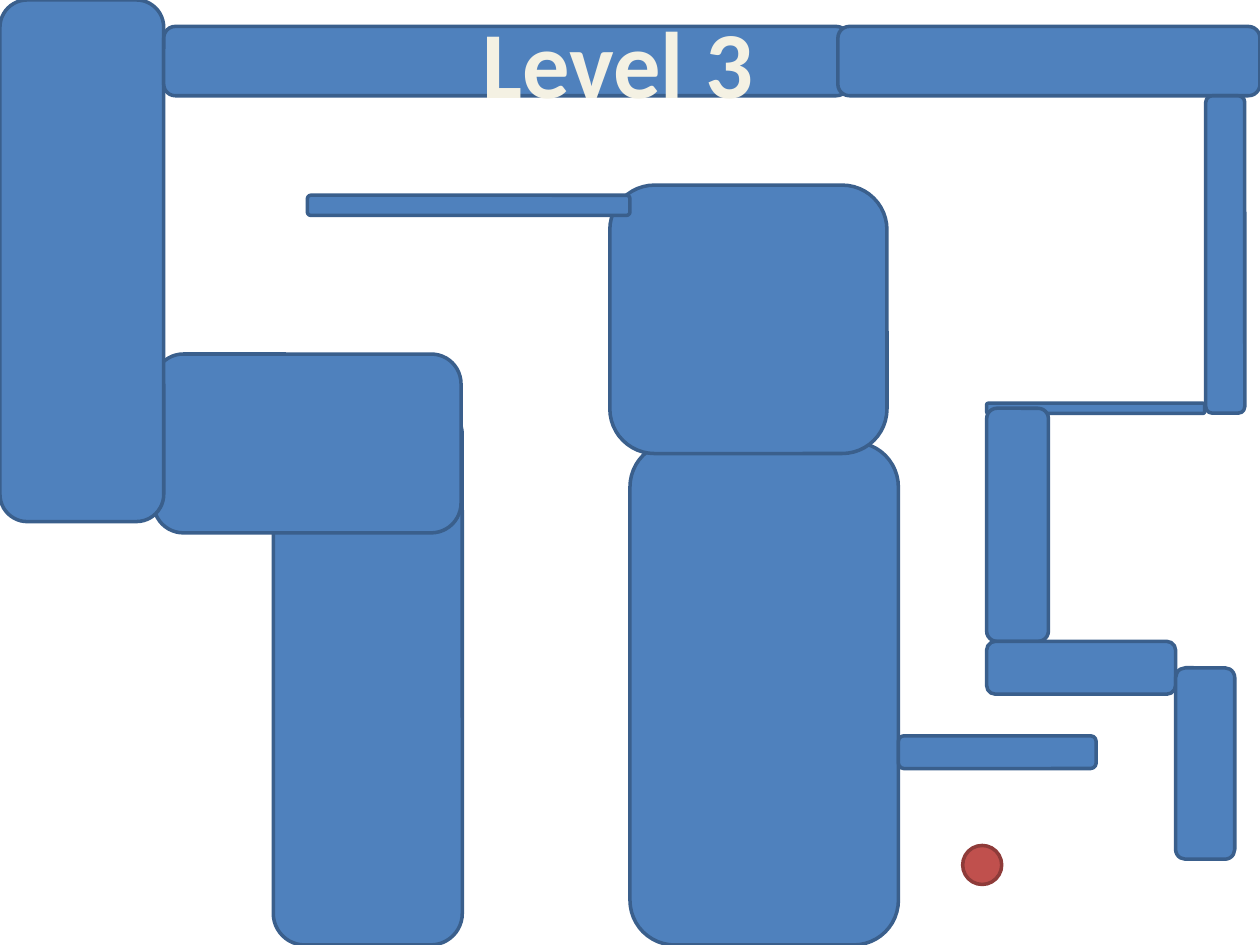
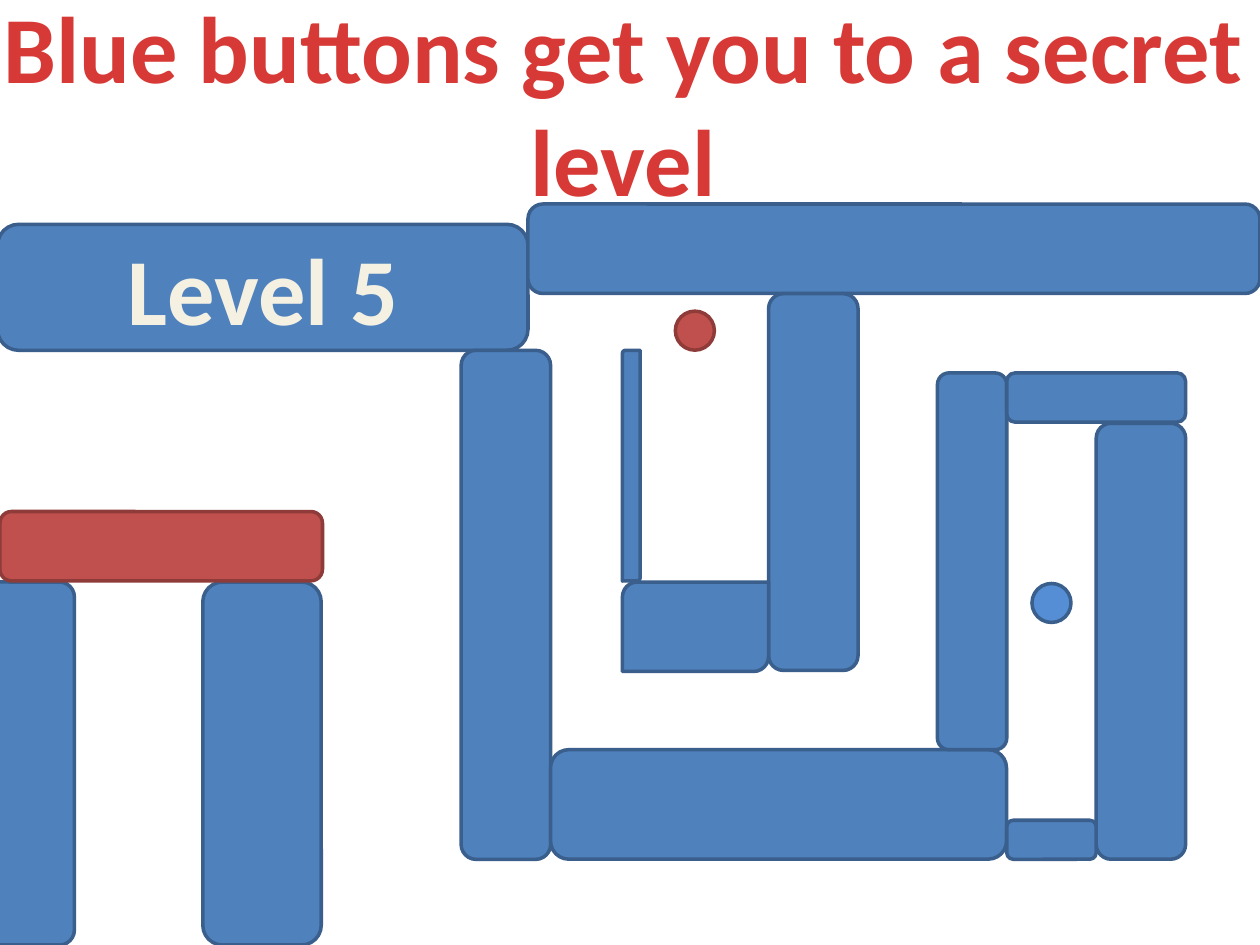
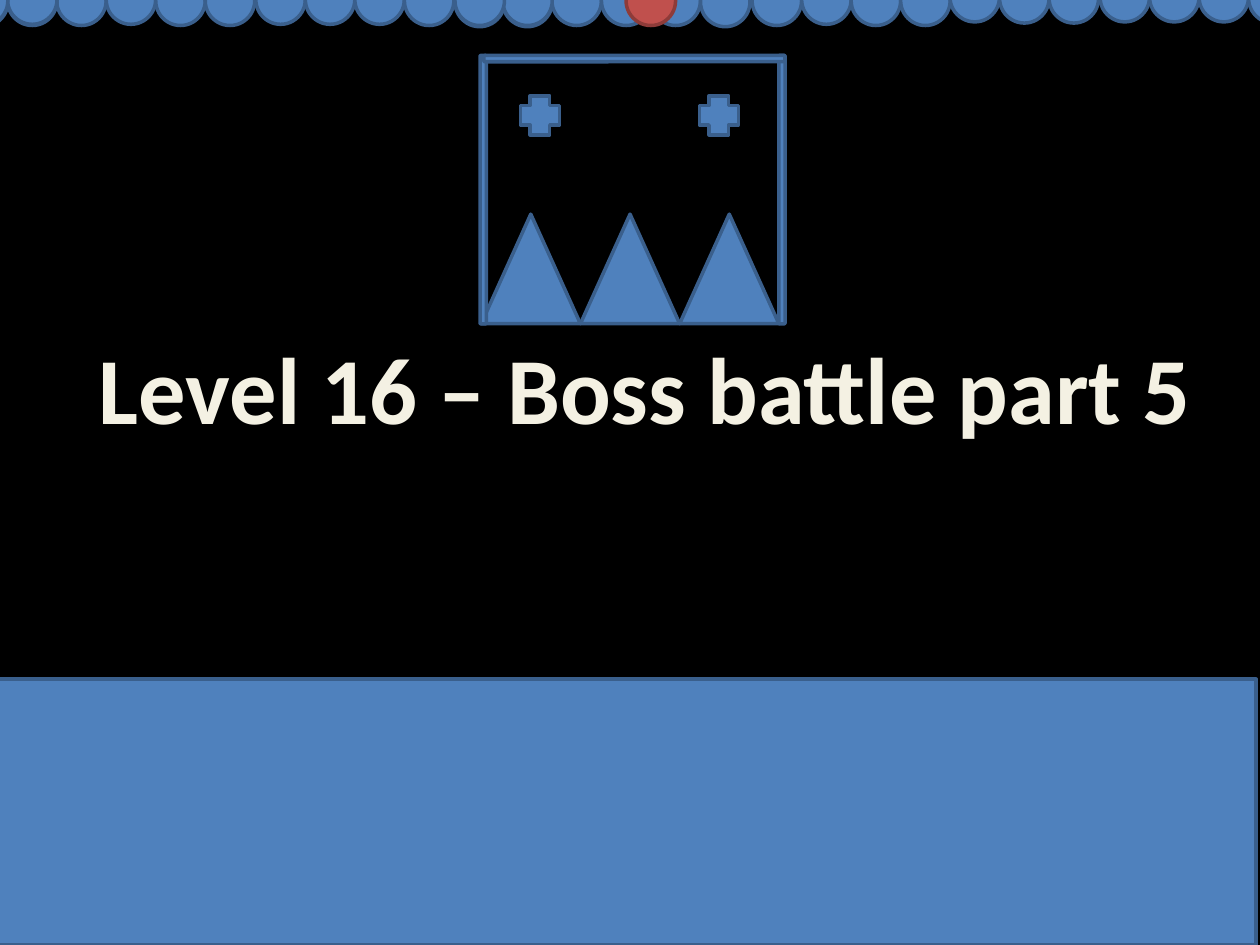
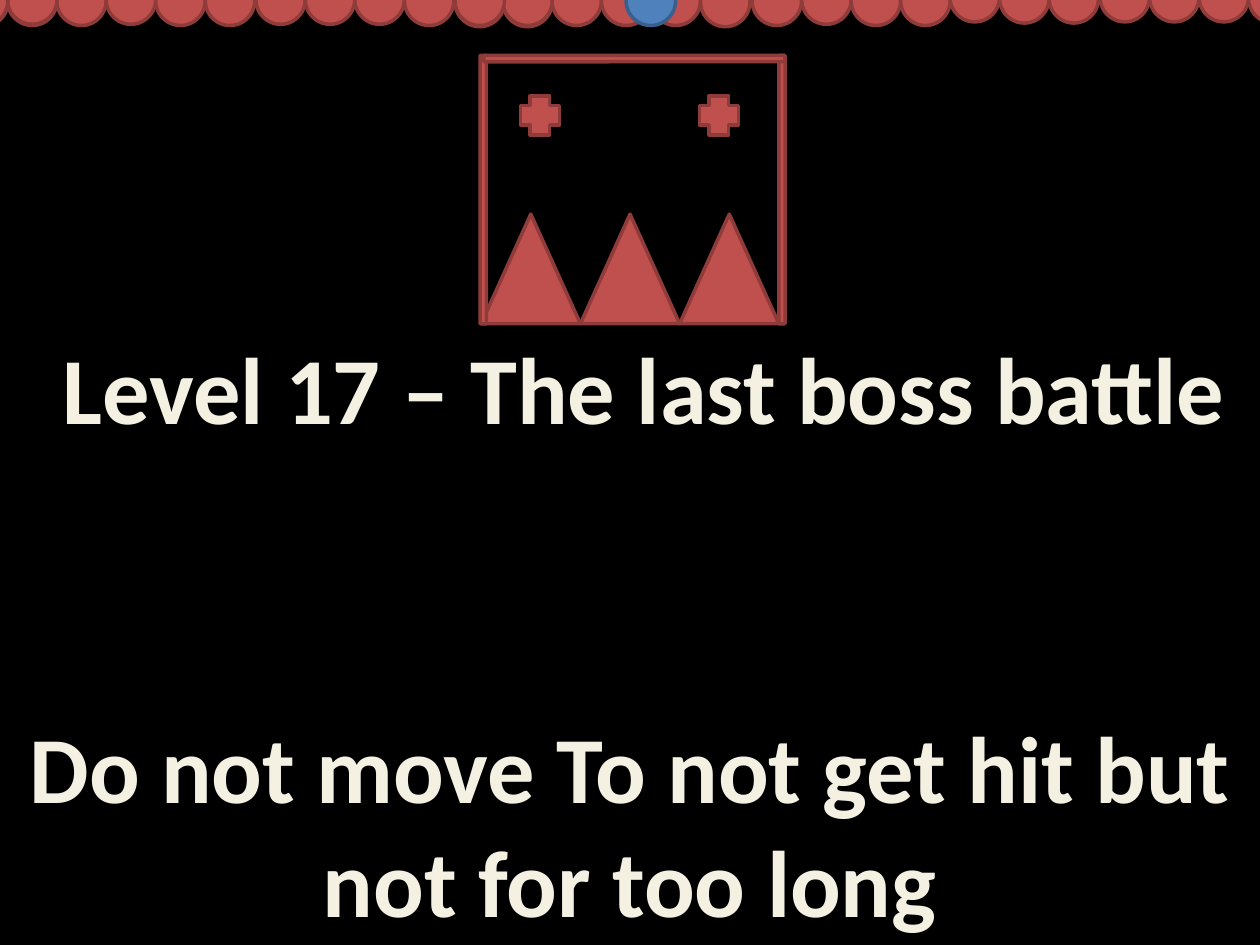
from dataclasses import dataclass

from lxml.etree import SubElement
from pptx import Presentation
from pptx.dml.color import RGBColor
from pptx.enum.shapes import MSO_SHAPE
from pptx.enum.text import MSO_AUTO_SIZE, PP_ALIGN
from pptx.oxml.ns import qn
from pptx.util import Pt


@dataclass(frozen=True)
class Theme:
    blue: tuple = ("4F81BD", "3A5F8C")
    red: tuple = ("C0504D", "8E3B39")
    bright: tuple = ("558ED5", "3A5F8C")
    cream: str = "F4F1E3"
    navy: str = "054697"
    warning: str = "D73A36"
    white: str = "FFFFFF"
    black: str = "000000"
    font: str = "Calibri"
    size: float = 54
    line: float = 2
    ball: float = 22.3
    bead: float = 28.3


T = Theme()

LEVEL3_WALLS = [
    (360, 252.7, 153.4, 287.3),
    (156.2, 230.4, 108, 309.6),
    (87.8, 202.3, 175.7, 102.2),
    (0, 0, 93.6, 298.1),
    (93.6, 15.1, 391, 39.6),
    (348.5, 105.8, 158.4, 153.4),
    (175.7, 111.6, 184.3, 11.5),
    (478.8, 15.1, 241.2, 39.6),
    (689, 54.7, 22.3, 181.4),
    (563.8, 230.4, 124.6, 5.8),
    (563.8, 233.3, 35.3, 133.2),
    (563.8, 366.5, 108, 30.2),
    (671.8, 381.6, 33.8, 109.4),
    (513.4, 420.5, 113, 18.7),
]

LEVEL5_POSTS = [
    (-8.6, 332.6, 51.1, 207.4),
    (115.9, 332.6, 67.7, 207.4),
]
LEVEL5_MAZE = [
    (-1.4, 128.2, 303.1, 72),
    (263.5, 200.2, 51.1, 290.9),
    (314.6, 428.4, 260.6, 62.6),
    (535.7, 213.1, 39.6, 215.3),
    (575.3, 213.1, 102.2, 28.1),
    (626.4, 241.9, 51.1, 249.1),
    (575.3, 468.7, 51.1, 22.3),
]
LEVEL5_TOP = [
    (301.7, 116.6, 418.3, 51.1),
    (439.2, 167.8, 51.1, 215.3),
]
LEVEL5_HOOK = [
    (355.7, 332.6, 83.5, 51.1),
    (355.7, 200.2, 10.1, 131.8),
]

BEAD_RUNS = [
    (146.2, [-14.4, -14.4, -14.4, -13.7]),
    (32.4, [-13.7, -14.4, -13.7, -13.7]),
    (4.3, [-13.7]),
    (-23.8, [-13]),
    (4.3, [-14.4]),
    (-23.8, [-13.7]),
    (429.8, [-13.7, -14.4, -13.7, -13.7]),
    (315.4, [-13.7, -13.7, -13.7, -13]),
    (287.3, [-13]),
    (260, [-13]),
    (287.3, [-13.7]),
    (260, [-13.7]),
    (628.6, [-15.8, -15.8, -15.8, -15.1]),
    (542.9, [-15.8, -15.1, -15.1]),
]


def rgb(color):
    return RGBColor.from_string(color)


def add_slide(prs, background):
    s = prs.slides.add_slide(prs.slide_layouts[6])
    fill = s.background.fill
    fill.solid()
    fill.fore_color.rgb = rgb(background)
    return s


def add_block(s, box, kind=MSO_SHAPE.ROUNDED_RECTANGLE, colors=T.blue):
    sp = s.shapes.add_shape(kind, *map(Pt, box))
    fill, line = colors
    sp.shadow.inherit = False
    sp.fill.solid()
    sp.fill.fore_color.rgb = rgb(fill)
    sp.line.color.rgb = rgb(line)
    sp.line.width = Pt(T.line)


def add_blocks(s, boxes, **style):
    for box in boxes:
        add_block(s, box, **style)


def add_ball(s, x, y, size=T.ball, colors=T.red):
    add_block(s, (x, y, size, size), MSO_SHAPE.OVAL, colors)


def add_outline(r, color, width):
    ln = SubElement(r.font._element, qn("a:ln"), w=str(Pt(width)))
    fill = SubElement(ln, qn("a:solidFill"))
    SubElement(fill, qn("a:srgbClr"), val=color)


def add_text(s, text, box, wrap=False, color=T.cream, outline=T.navy, width=1):
    tf = s.shapes.add_textbox(*map(Pt, box)).text_frame
    tf.word_wrap = wrap
    tf.auto_size = MSO_AUTO_SIZE.SHAPE_TO_FIT_TEXT
    p = tf.paragraphs[0]
    p.alignment = PP_ALIGN.CENTER
    r = p.add_run()
    r.text = text
    add_outline(r, outline, width)
    r.font.size = Pt(T.size)
    r.font.bold = True
    r.font.name = T.font
    r.font.color.rgb = rgb(color)


def add_boss(s, colors):
    for i in range(3):
        tooth = (275 + 56.7 * i, 122.4, 56.7, 62.6)
        add_block(s, tooth, MSO_SHAPE.ISOSCELES_TRIANGLE, colors)
    frame = [
        (274.3, 31.7, 3.6, 153.4),
        (445, 31.7, 3.6, 153.4),
        (276.5, 31.7, 172.1, 3.6),
    ]
    add_blocks(s, frame, colors=colors)
    eyes = [(x, 54.7, 22.3, 22.3) for x in (297.4, 399.6)]
    add_blocks(s, eyes, kind=MSO_SHAPE.CROSS, colors=colors)


def add_beads(s, colors):
    for left, tops in BEAD_RUNS:
        for i, top in enumerate(tops):
            add_ball(s, left + i * T.bead, top, T.bead, colors)


def add_boss_slide(prs, title, box, colors, target):
    s = add_slide(prs, T.black)
    add_boss(s, colors)
    add_text(s, title, box)
    add_beads(s, colors)
    add_ball(s, 357.8, -13.7, T.bead, target)
    return s


def add_level3(prs):
    s = add_slide(prs, T.white)
    add_blocks(s, LEVEL3_WALLS)
    add_ball(s, 550.1, 483.1)
    add_text(s, "Level 3", (267.8, -1.4, 170.6, 72.7))


def add_level5(prs):
    s = add_slide(prs, T.white)
    add_blocks(s, LEVEL5_POSTS)
    add_block(s, (0, 292.3, 184.3, 39.6), colors=T.red)
    add_blocks(s, LEVEL5_MAZE)
    add_ball(s, 589.7, 333.4, colors=T.bright)
    add_text(s, "Blue buttons get you to a secret level", (-25.2, -10.1, 762.5, 138.2),
             wrap=True, color=T.warning, outline=T.warning, width=1.42)
    add_blocks(s, LEVEL5_TOP)
    add_blocks(s, LEVEL5_HOOK, kind=MSO_SHAPE.ROUND_2_DIAG_RECTANGLE)
    add_ball(s, 385.9, 177.8)
    add_text(s, "Level 5", (64.8, 128.2, 170.6, 72.7))


def main():
    prs = Presentation()
    prs.slide_width, prs.slide_height = Pt(720), Pt(540)
    add_level3(prs)
    add_level5(prs)
    s = add_boss_slide(prs, "Level 16 – Boss battle part 5",
                       (45.4, 185, 646.6, 72.7), T.blue, T.red)
    add_block(s, (-2.2, 388.1, 720, 151.9), MSO_SHAPE.RECTANGLE)
    s = add_boss_slide(prs, "Level 17 – The last boss battle",
                       (24.5, 185, 686.9, 72.7), T.red, T.blue)
    add_text(s, "Do not move To not get hit but not for too long",
             (0, 401.8, 720, 138.2), wrap=True)
    prs.save("out.pptx")


if __name__ == "__main__":
    main()
